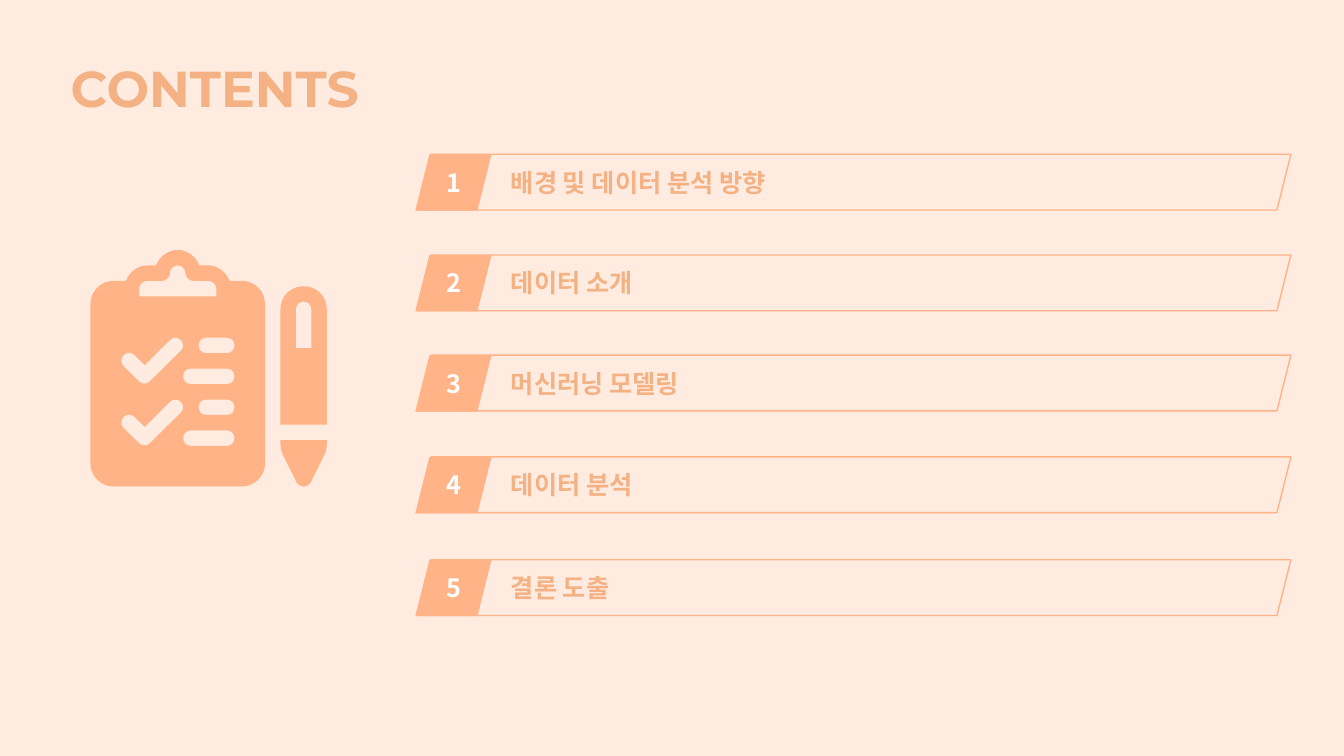
from dataclasses import dataclass

from lxml.etree import SubElement
from pptx import Presentation
from pptx.dml.color import RGBColor
from pptx.enum.shapes import MSO_SHAPE as Preset
from pptx.enum.text import MSO_AUTO_SIZE as AutoSize, PP_ALIGN as Align
from pptx.oxml.ns import qn
from pptx.util import Inches, Pt

# Square grid: 40 columns by 22.5 rows
CELL = Inches(13.333) / 40
COLUMNS, ROWS = 40, 22.5

# Icon units inside the grid
ICON_LEFT, ICON_TOP, ICON_UNIT = 2.69, 7.44, 0.23

PEACH, SAND, WHITE = "FFB387", "F4B183", "FFFFFF"
KOREAN_FONT, TITLE_FONT = "Noto Sans CJK KR", "Montserrat"

# A step of two numbers is a line; a step of six is a cubic curve
Step = tuple[float, ...]
Outline = list[Step]


@dataclass(frozen=True)
class Box:
    left: float
    top: float
    width: float
    height: float

    def lengths(self) -> list[int]:
        return [round(value * CELL) for value in (self.left, self.top, self.width, self.height)]


@dataclass(frozen=True)
class Chapter:
    number: int
    title: str
    top: float


CHAPTERS = [
    Chapter(1, "배경 및 데이터 분석 방향", 4.59),
    Chapter(2, "데이터 소개", 7.59),
    Chapter(3, "머신러닝 모델링", 10.57),
    Chapter(4, "데이터 분석", 13.6),
    Chapter(5, "결론 도출", 16.66),
]


def colour(value: str) -> RGBColor:
    return RGBColor.from_string(value)


def add_preset(shapes, preset, box: Box, fill: str = "", line: str = "", opacity: int = 100):
    shape = shapes.add_shape(preset, *box.lengths())
    shape.shadow.inherit = False
    if fill:
        shape.fill.solid()
        shape.fill.fore_color.rgb = colour(fill)
    else:
        shape.fill.background()
    if line:
        shape.line.color.rgb = colour(line)
        shape.line.width = Pt(1)
    else:
        shape.line.fill.background()
    if opacity < 100:
        colour_element = shape.fill._xPr.find(qn("a:solidFill"))[0]
        SubElement(colour_element, qn("a:alpha"), val=str(opacity * 1000))
    return shape


def add_text(shapes, text: str, box: Box, *, size: float = 18, font: str = KOREAN_FONT,
             color: str = SAND, align=Align.LEFT):
    shape = shapes.add_textbox(*box.lengths())
    frame = shape.text_frame
    frame.word_wrap = True
    frame.auto_size = AutoSize.SHAPE_TO_FIT_TEXT
    paragraph = frame.paragraphs[0]
    paragraph.alignment = align
    run = paragraph.add_run()
    run.text = text
    run.font.size, run.font.bold, run.font.name = Pt(size), True, font
    run.font.color.rgb = colour(color)
    return shape


def add_chapter(shapes, chapter: Chapter) -> None:
    add_preset(shapes, Preset.PARALLELOGRAM, Box(12.42, chapter.top, 26, 1.66), line=PEACH)
    add_text(shapes, chapter.title, Box(14.91, chapter.top + 0.23, 9.18, 1.2))
    add_preset(shapes, Preset.PARALLELOGRAM, Box(12.36, chapter.top, 2.27, 1.68), fill=PEACH)
    add_text(shapes, str(chapter.number), Box(12.99, chapter.top + 0.23, 1.17, 1.2), color=WHITE)


def slide_points(outline: Outline) -> list[tuple[int, int]]:
    """Place every corner and curve handle on the slide."""
    pairs = [step[index:index + 2] for step in outline for index in range(0, len(step), 2)]
    return [(round((ICON_LEFT + x * ICON_UNIT) * CELL), round((ICON_TOP + y * ICON_UNIT) * CELL))
            for x, y in pairs]


def bend_curves(shape, outlines: list[Outline]) -> None:
    """Join the three segments of each six-number step into one cubic curve."""
    segments = iter(list(shape._element.iter(qn("a:lnTo"))))
    for outline in outlines:
        for step in outline[1:]:
            parts = [next(segments) for _ in range(len(step) // 2)]
            if len(parts) == 3:
                curve = parts[0].makeelement(qn("a:cubicBezTo"))
                parts[0].addprevious(curve)
                for part in parts:
                    curve.append(part[0])
                    part.getparent().remove(part)


def add_outlines(shapes, outlines: list[Outline]) -> None:
    """Draw one freeform; every outline after the first is a hole."""
    first, *holes = [slide_points(outline) for outline in outlines]
    builder = shapes.build_freeform(*first[0])
    builder.add_line_segments(first[1:], close=True)
    for hole in holes:
        builder.move_to(*hole[0])
        builder.add_line_segments(hole[1:], close=True)
    shape = builder.convert_to_shape()
    bend_curves(shape, outlines)
    shape.shadow.inherit = False
    shape.fill.solid()
    shape.fill.fore_color.rgb = colour(PEACH)
    shape.line.fill.background()


def pill(left: float, top: float, right: float = 18.65) -> Outline:
    bottom = top + 2
    return [(left + 1, top), (right - 1, top),
            (right + 0.33, top, right + 0.33, bottom, right - 1, bottom), (left + 1, bottom),
            (left - 0.33, bottom, left - 0.33, top, left + 1, top)]


def check(top: float) -> Outline:
    steps = [(0.4, 2.35), (0.8, 1.95, 1.4, 1.95, 1.8, 2.35), (3.15, 3.65), (6.4, 0.4),
             (6.8, 0, 7.4, 0, 7.8, 0.4), (8.2, 0.8, 8.2, 1.4, 7.8, 1.8), (3.8, 5.75),
             (3.4, 6.15, 2.8, 6.15, 2.4, 5.75), (0.4, 3.8), (0, 3.4, 0, 2.75, 0.4, 2.35)]
    return [tuple(value + (top if index % 2 else 3.9) for index, value in enumerate(step))
            for step in steps]


# Icon outlines
CLIPBOARD = [
    (19.6, 4), (18, 4), (17.6, 2.9, 16.5, 2, 15.3, 2), (14.1, 2),
    (13.7, 0.9, 12.6, 0, 11.3, 0), (10, 0, 8.9, 0.9, 8.5, 2), (7.3, 2),
    (6.1, 2, 5, 2.9, 4.6, 4), (3, 4), (1.35, 4, 0, 5.35, 0, 7), (0, 27.6),
    (0, 29.25, 1.35, 30.6, 3, 30.6), (19.6, 30.6), (21.25, 30.6, 22.6, 29.25, 22.6, 27.6),
    (22.6, 7), (22.6, 5.35, 21.25, 4, 19.6, 4),
]
CLIP = [
    (7.3, 4), (9.3, 4), (9.8, 4, 10.3, 3.5, 10.3, 3), (10.3, 2.4, 10.8, 2, 11.3, 2),
    (11.8, 2, 12.3, 2.4, 12.3, 3), (12.3, 3.5, 12.8, 4, 13.3, 4), (15.3, 4),
    (15.8, 4, 16.3, 4.5, 16.3, 5), (16.3, 6), (6.3, 6), (6.3, 5),
    (6.3, 4.5, 6.8, 4, 7.3, 4),
]
PEN_TIP = [
    (24.6, 24.6), (24.6, 25.2), (24.6, 25.6, 24.7, 26, 24.9, 26.5), (26.7, 30.1),
    (27.1, 30.8, 28.1, 30.8, 28.5, 30.1), (30.3, 26.5), (30.5, 26, 30.6, 25.6, 30.6, 25.2),
    (30.6, 24.6),
]
PEN_BARREL = [
    (24.6, 7.7), (24.6, 22.6), (30.6, 22.6), (30.6, 7.7),
    (30.6, 6, 29.3, 4.7, 27.6, 4.7), (25.9, 4.7, 24.6, 6, 24.6, 7.7),
]
PEN_SLOT = [(28.6, 12.7), (26.6, 12.7), (26.6, 7.7), (26.6, 6.35, 28.6, 6.35, 28.6, 7.7)]


def main() -> None:
    presentation = Presentation()
    presentation.slide_width, presentation.slide_height = Inches(13.333), Inches(7.5)
    slide = presentation.slides.add_slide(presentation.slide_layouts[6])
    shapes = slide.shapes

    # Background tint
    add_preset(shapes, Preset.RECTANGLE, Box(0, 0, COLUMNS, ROWS), fill=PEACH, opacity=25)

    # Title and chapter list
    add_text(shapes, "CONTENTS", Box(0, 1.56, 12.78, 2.12), size=36, font=TITLE_FONT,
             align=Align.CENTER)
    for chapter in CHAPTERS:
        add_chapter(shapes, chapter)

    # Clipboard and pen
    icon = shapes.add_group_shape().shapes
    lines = [pill(12 if row % 2 else 14, 11.35 + 4 * row) for row in range(4)]
    checks = [check(11.25 + 8 * row) for row in range(2)]
    add_outlines(icon, [CLIPBOARD, CLIP, *checks, *lines])
    add_outlines(icon, [PEN_TIP])
    add_outlines(icon, [PEN_BARREL, PEN_SLOT])

    presentation.save("out.pptx")


if __name__ == "__main__":
    main()
